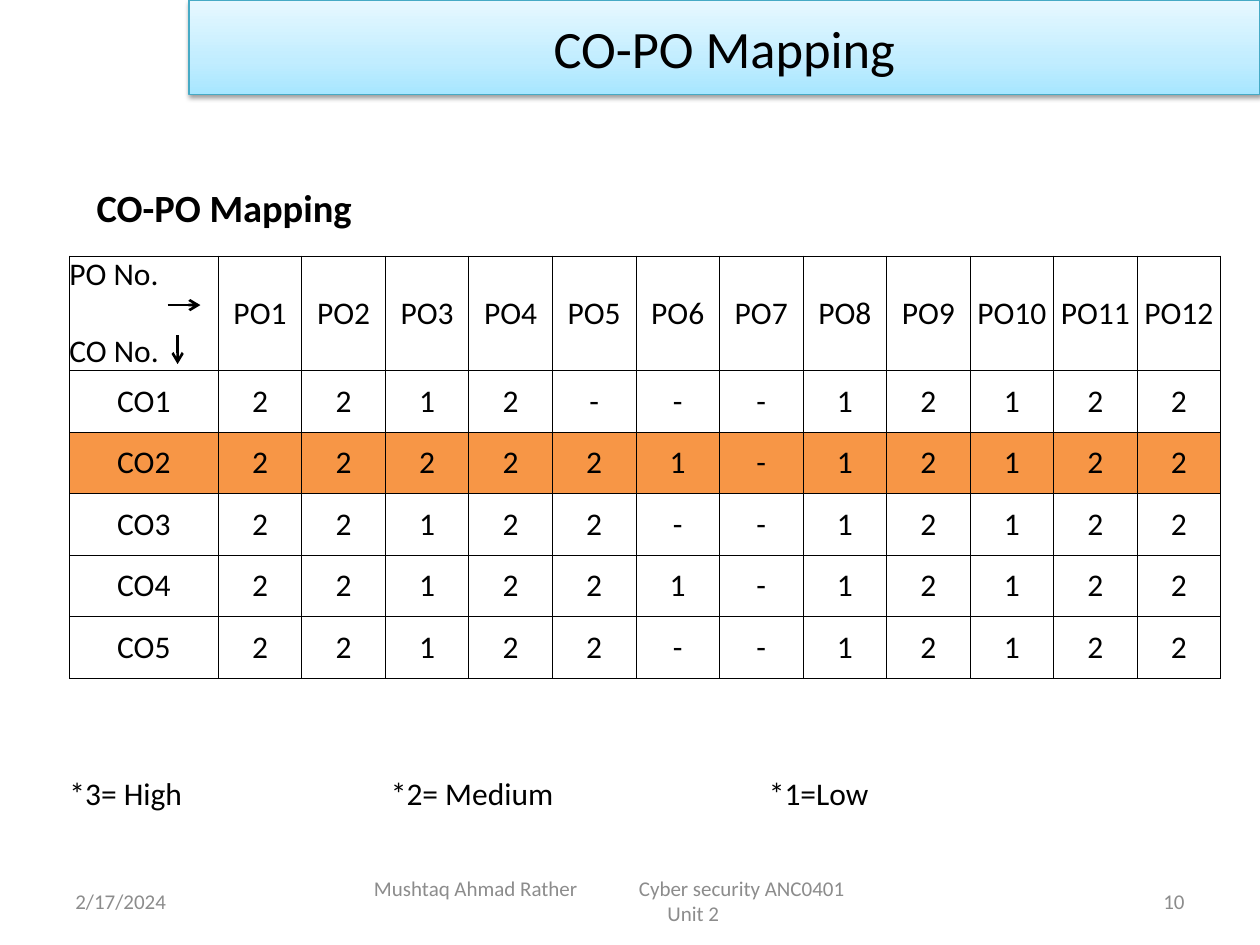
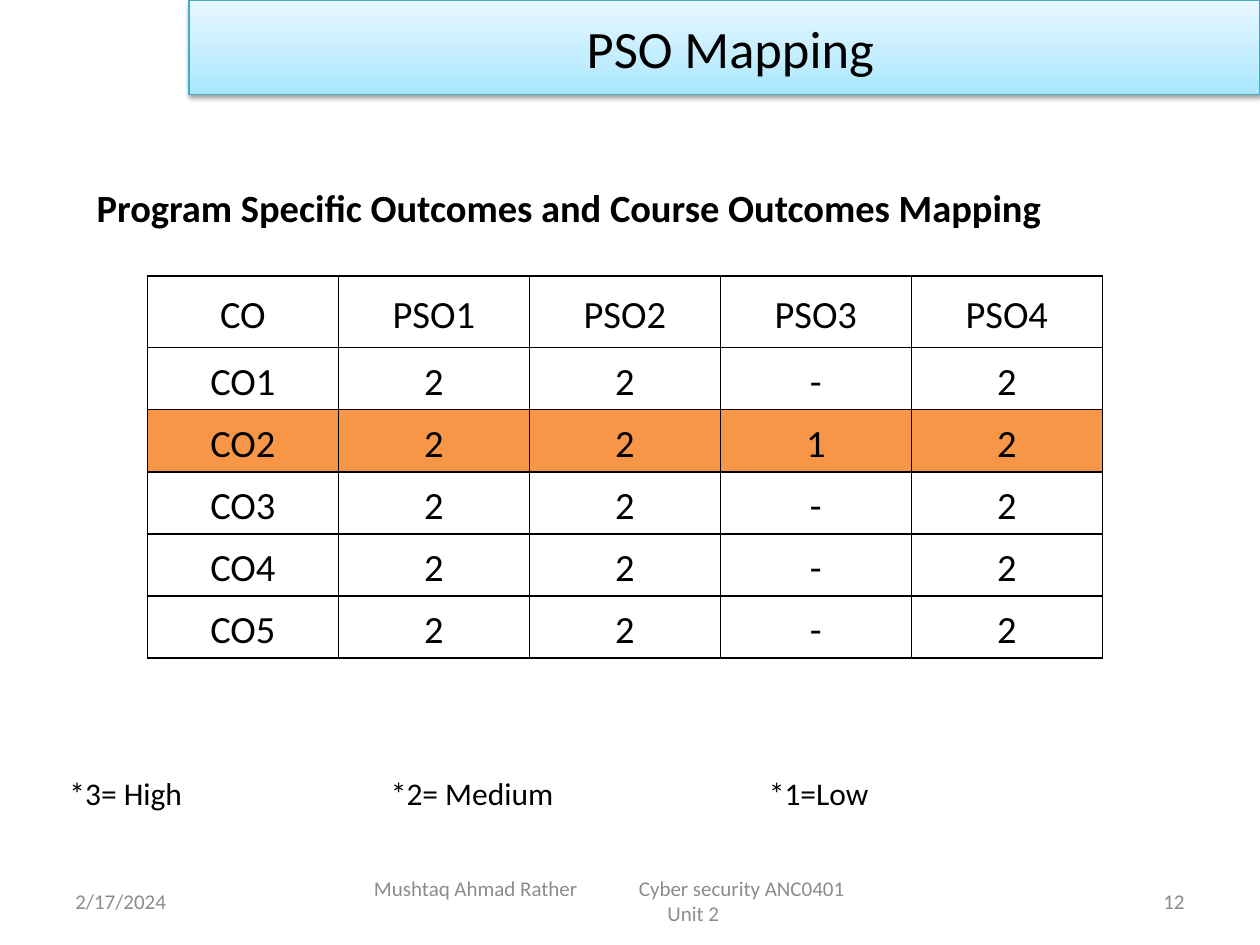
"""Two slides that map course outcomes to programme outcomes."""
from lxml import etree
from pptx import Presentation
from pptx.dml.color import RGBColor
from pptx.enum.shapes import MSO_CONNECTOR as Link, MSO_SHAPE as Shape
from pptx.enum.text import MSO_ANCHOR as Anchor, PP_ALIGN as Align
from pptx.oxml import parse_xml
from pptx.oxml.ns import qn
from pptx.util import Cm, Pt

BLACK = RGBColor(0x00, 0x00, 0x00)
WHITE = RGBColor(0xFF, 0xFF, 0xFF)
GREY = RGBColor(0x8C, 0x8C, 0x8C)
ORANGE = RGBColor(0xF7, 0x96, 0x46)
TEAL = RGBColor(0x46, 0xAA, 0xC5)
SKY = RGBColor(0xA7, 0xE6, 0xFF)
PALE = RGBColor(0xC1, 0xED, 0xFF)
ICE = RGBColor(0xE7, 0xF8, 0xFF)
NS = 'xmlns:a="http://schemas.openxmlformats.org/drawingml/2006/main"'

STOPS = "".join(f'<a:gs pos="{pos}"><a:srgbClr val="{hue}"/></a:gs>'
                for pos, hue in ((0, SKY), (35000, PALE), (100000, ICE)))
GRAD = f'<a:gradFill {NS}><a:gsLst>{STOPS}</a:gsLst><a:lin ang="16200000" scaled="0"/></a:gradFill>'
SHADE = (f'<a:effectLst {NS}><a:outerShdw blurRad="39400" dist="20300" dir="5400000" rotWithShape="0">'
         '<a:srgbClr val="000000"><a:alpha val="38000"/></a:srgbClr></a:outerShdw></a:effectLst>')

DECKS = [
    dict(title="CO-PO Mapping", page="10", head="CO-PO Mapping", wide=10.52,
         left=1.4, top=5.16, cols=[3] + [20.22 / 12] * 12, rows=[2.31] + [1.24] * 5,
         size=18, pad=0, lead=1.0, edge=0.5,
         cells=[["PO No.\nCO No."] + [f"PO{n}" for n in range(1, 13)],
                "CO1 2 2 1 2 - - - 1 2 1 2 2".split(),
                "CO2 2 2 2 2 2 1 - 1 2 1 2 2".split(),
                "CO3 2 2 1 2 2 - - 1 2 1 2 2".split(),
                "CO4 2 2 1 2 2 1 - 1 2 1 2 2".split(),
                "CO5 2 2 1 2 2 - - 1 2 1 2 2".split()],
         arrows=[(3.38, 6.15, 4.04, 6.15), (3.58, 6.76, 3.58, 7.34)]),
    dict(title=" PSO Mapping", page="12",
         head="Program Specific Outcomes and Course Outcomes Mapping", wide=21.64,
         left=2.97, top=5.56, cols=[3.85] * 5, rows=[1.45] + [1.25] * 5,
         size=22, pad=0.18, lead=1.15, edge=1,
         cells=[["CO", "PSO1", "PSO2", "PSO3", "PSO4"],
                "CO1 2 2 - 2".split(), "CO2 2 2 1 2".split(),
                "CO3 2 2 - 2".split(), "CO4 2 2 - 2".split(),
                "CO5 2 2 - 2".split()],
         arrows=[]),
]


def write(para, text, size, hue=BLACK, bold=False, tabs=(), **form):
    for key, val in form.items():
        setattr(para, key, val)
    if tabs:
        stops = etree.SubElement(para._p.get_or_add_pPr(), qn("a:tabLst"))
        for pos in tabs:
            etree.SubElement(stops, qn("a:tab"), pos=str(Cm(pos)), algn="l")
    run = para.add_run()
    run.text = text
    for key, val in dict(name="Calibri", size=Pt(size), bold=bold).items():
        setattr(run.font, key, val)
    run.font.color.rgb = hue


def add_box(slide, left, top, width, height, **form):
    frame = slide.shapes.add_textbox(Cm(left), Cm(top), Cm(width), Cm(height)).text_frame
    for key, val in dict(word_wrap=True, vertical_anchor=Anchor.MIDDLE, **form).items():
        setattr(frame, key, val)
    return frame


prs = Presentation()
prs.slide_width, prs.slide_height = Cm(25.4), Cm(19.05)

for deck in DECKS:
    slide = prs.slides.add_slide(prs.slide_layouts[6])
    shapes = slide.shapes

    date = add_box(slide, 1.27, 17.65, 5.93, 1.02)
    write(date.paragraphs[0], "2/17/2024", 12, GREY)
    page = add_box(slide, 18.2, 17.65, 5.93, 1.02)
    write(page.paragraphs[0], deck["page"], 12, GREY, alignment=Align.RIGHT)
    foot = add_box(slide, 6.99, 17.65, 13.97, 1.02, margin_left=Cm(0.55), margin_right=Cm(0.55))
    write(foot.paragraphs[0], "Mushtaq Ahmad Rather\tCyber security ANC0401", 12, GREY, tabs=[5.34])
    write(foot.add_paragraph(), "Unit 2", 12, GREY, alignment=Align.CENTER)

    band = shapes.add_shape(Shape.RECTANGLE, Cm(3.81), 0, Cm(21.59), Cm(1.9))
    band.line.color.rgb = TEAL
    band.line.width = Pt(0.75)
    look = band._element.spPr
    look.find(qn("a:prstGeom")).addnext(parse_xml(GRAD))
    look.append(parse_xml(SHADE))
    band.text_frame.vertical_anchor = Anchor.MIDDLE
    write(band.text_frame.paragraphs[0], deck["title"], 30, alignment=Align.CENTER)

    key = add_box(slide, 0, 15.47, 24.82, 1.02, margin_left=Cm(1.4))
    write(key.paragraphs[0], "*3= High\t*2= Medium\t*1=Low", 18, tabs=[6.48, 14.1])
    head = add_box(slide, 1.19, 3.58, deck["wide"], 1.07,
                   margin_left=Cm(0.76), margin_bottom=0)
    write(head.paragraphs[0], deck["head"], 22, bold=True)

    cols, rows = deck["cols"], deck["rows"]
    table = shapes.add_table(len(rows), len(cols), Cm(deck["left"]), Cm(deck["top"]),
                             Cm(sum(cols)), Cm(sum(rows))).table
    table.first_row = table.horz_banding = False
    for col, width in zip(table.columns, cols):
        col.width = Cm(width)
    for row, height, words in zip(table.rows, rows, deck["cells"]):
        row.height = Cm(height)
        for cell, word in zip(row.cells, words):
            pad = Cm(deck["pad"])
            form = dict(margin_left=pad, margin_right=pad, margin_top=0, margin_bottom=0,
                        vertical_anchor=Anchor.MIDDLE)
            for name, val in form.items():
                setattr(cell, name, val)
            cell.fill.solid()
            cell.fill.fore_color.rgb = ORANGE if words[0] == "CO2" else WHITE
            for spot, side in enumerate("LRTB"):
                cell._tc.tcPr.insert(spot, parse_xml(
                    f'<a:ln{side} {NS} w="{Pt(deck["edge"])}"><a:solidFill>'
                    f'<a:srgbClr val="{BLACK}"/></a:solidFill></a:ln{side}>'))
            parts = word.split("\n")
            side = Align.LEFT if len(parts) > 1 else Align.CENTER
            write(cell.text_frame.paragraphs[0], parts[0], deck["size"],
                  alignment=side, line_spacing=deck["lead"])
            for part in parts[1:]:
                write(cell.text_frame.add_paragraph(), part, deck["size"],
                      alignment=side, space_before=Pt(22))

    for ends in deck["arrows"]:
        arrow = shapes.add_connector(Link.STRAIGHT, *map(Cm, ends))
        arrow.line.color.rgb = BLACK
        arrow.line.width = Pt(1.5)
        etree.SubElement(arrow.line._get_or_add_ln(), qn("a:tailEnd"), type="arrow")
        etree.SubElement(arrow._element.spPr, qn("a:effectLst"))

prs.save("out.pptx")
